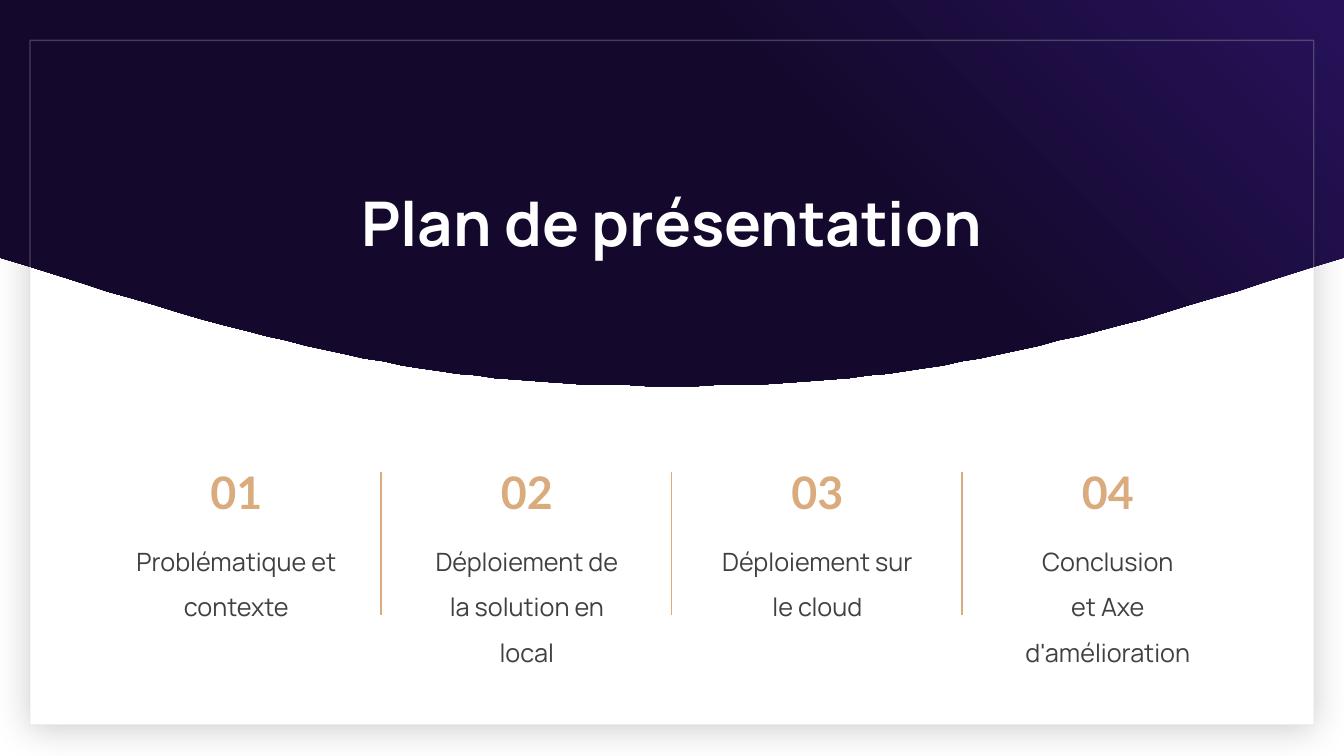
from dataclasses import dataclass

from lxml import etree
from pptx import Presentation
from pptx.dml.color import RGBColor
from pptx.enum.shapes import MSO_CONNECTOR, MSO_SHAPE
from pptx.enum.text import MSO_ANCHOR, PP_ALIGN
from pptx.oxml.ns import qn
from pptx.util import Pt

RECTANGLE = MSO_SHAPE.RECTANGLE
STRAIGHT = MSO_CONNECTOR.STRAIGHT
TOP, BOTTOM = MSO_ANCHOR.TOP, MSO_ANCHOR.BOTTOM
CENTER = PP_ALIGN.CENTER

WIDTH, HEIGHT = 960, 540
COLUMN_LEFT, COLUMN_STEP, COLUMN_WIDTH = 95, 207.5, 147.6
DIVIDER_LEFT = 272.2
CURVE_STEPS = 32

SECTIONS = [
    ("01", ["Problématique et contexte"]),
    ("02", ["Déploiement de la solution en local"]),
    ("03", ["Déploiement sur le cloud"]),
    ("04", ["Conclusion", "et Axe d'amélioration"]),
]


@dataclass(frozen=True)
class Theme:
    white: str = "FFFFFF"
    violet: str = "27125A"
    night: str = "14092D"
    tan: str = "D9AB7D"
    body: str = "404040"
    frame: str = "D9D9D9"
    shadow: str = "000000"
    text_font: str = "Manrope"
    number_font: str = "Lato"
    title_size: int = 44
    number_size: int = 32
    body_size: int = 18


def rgb(value):
    return RGBColor.from_string(value)


def write_text(frame, paragraphs, *, font, size, color, bold=False, spacing=None,
               anchor=TOP, wrap=True):
    frame.margin_left = frame.margin_right = 0
    frame.margin_top = frame.margin_bottom = 0
    frame.vertical_anchor = anchor
    frame.word_wrap = wrap
    for index, text in enumerate(paragraphs):
        paragraph = frame.add_paragraph() if index else frame.paragraphs[0]
        paragraph.alignment = CENTER
        if spacing:
            paragraph.line_spacing = spacing
        run = paragraph.add_run()
        run.text = text
        run.font.name = font
        run.font.size = Pt(size)
        run.font.bold = bold
        run.font.color.rgb = rgb(color)


def bezier(start, control_1, control_2, end):
    for step in range(1, CURVE_STEPS + 1):
        t = step / CURVE_STEPS
        u = 1 - t
        yield tuple(
            u**3 * a + 3 * u**2 * t * b + 3 * u * t**2 * c + t**3 * d
            for a, b, c, d in zip(start, control_1, control_2, end)
        )


class SlideBuilder:
    def __init__(self, slide, theme):
        self.shapes = slide.shapes
        self.theme = theme

    def rectangle(self, left, top, width, height):
        panel = self.shapes.add_shape(RECTANGLE, Pt(left), Pt(top), Pt(width), Pt(height))
        panel.shadow.inherit = False
        return panel

    def card(self, *box):
        card = self.rectangle(*box)
        card.fill.solid()
        card.fill.fore_color.rgb = rgb(self.theme.white)
        card.line.fill.background()
        effects = card.element.spPr.find(qn("a:effectLst"))
        shadow = etree.SubElement(
            effects, qn("a:outerShdw"), blurRad=str(Pt(26)), dist=str(Pt(3)),
            dir="5400000", algn="t", rotWithShape="0")
        color = etree.SubElement(shadow, qn("a:srgbClr"), val=self.theme.shadow)
        etree.SubElement(color, qn("a:alpha"), val="20000")

    def frame(self, *box):
        frame = self.rectangle(*box)
        frame.fill.background()
        frame.line.color.rgb = rgb(self.theme.frame)
        frame.line.width = Pt(1)
        color = frame.line._ln.find(".//" + qn("a:srgbClr"))
        etree.SubElement(color, qn("a:alpha"), val="25000")

    def banner(self, side, bottom):
        middle = (WIDTH / 2, bottom)
        right_half = bezier((WIDTH, side), (743, 253.4), (645, bottom), middle)
        left_half = bezier(middle, (317, bottom), (217, 253.4), (0, side))
        outline = self.shapes.build_freeform(0, 0, scale=float(Pt(1)))
        outline.add_line_segments([(WIDTH, 0), (WIDTH, side), *right_half, *left_half])
        banner = outline.convert_to_shape()
        banner.shadow.inherit = False
        banner.line.fill.background()
        banner.fill.gradient()
        banner.fill.gradient_angle = 225
        stops = ((0, self.theme.violet), (0.38, self.theme.night))
        for stop, (position, color) in zip(banner.fill.gradient_stops, stops):
            stop.position = position
            stop.color.rgb = rgb(color)

    def text(self, left, top, width, height, paragraphs, **style):
        box = self.shapes.add_textbox(Pt(left), Pt(top), Pt(width), Pt(height))
        write_text(box.text_frame, paragraphs, **style)

    def divider(self, x, top, bottom):
        divider = self.shapes.add_connector(STRAIGHT, Pt(x), Pt(top), Pt(x), Pt(bottom))
        divider.line.color.rgb = rgb(self.theme.tan)
        divider.line.width = Pt(1)
        etree.SubElement(divider._element.spPr, qn("a:effectLst"))


def main():
    presentation = Presentation()
    presentation.slide_width, presentation.slide_height = Pt(WIDTH), Pt(HEIGHT)
    slide = presentation.slides.add_slide(presentation.slide_layouts[6])
    theme = Theme()
    builder = SlideBuilder(slide, theme)

    builder.card(21.5, 35.3, 917, 482.4)
    builder.banner(183.8, 275.6)
    builder.frame(21.5, 28.8, 917, 488.9)
    builder.text(69, 100, 822, 85, ["Plan de présentation"], font=theme.text_font,
                 size=theme.title_size, color=theme.white, bold=True, anchor=BOTTOM)

    for index, (number, topic) in enumerate(SECTIONS):
        offset = index * COLUMN_STEP
        left = COLUMN_LEFT + offset
        builder.text(left, 316.8, COLUMN_WIDTH, 53.3, [number], font=theme.number_font,
                     size=theme.number_size, color=theme.tan, bold=True,
                     anchor=BOTTOM, wrap=False)
        builder.text(left, 379.4, COLUMN_WIDTH, 102.2, topic, font=theme.text_font,
                     size=theme.body_size, color=theme.body, spacing=1.5)
        if index < len(SECTIONS) - 1:
            builder.divider(DIVIDER_LEFT + offset, 337, 439.2)

    presentation.save("out.pptx")


if __name__ == "__main__":
    main()
